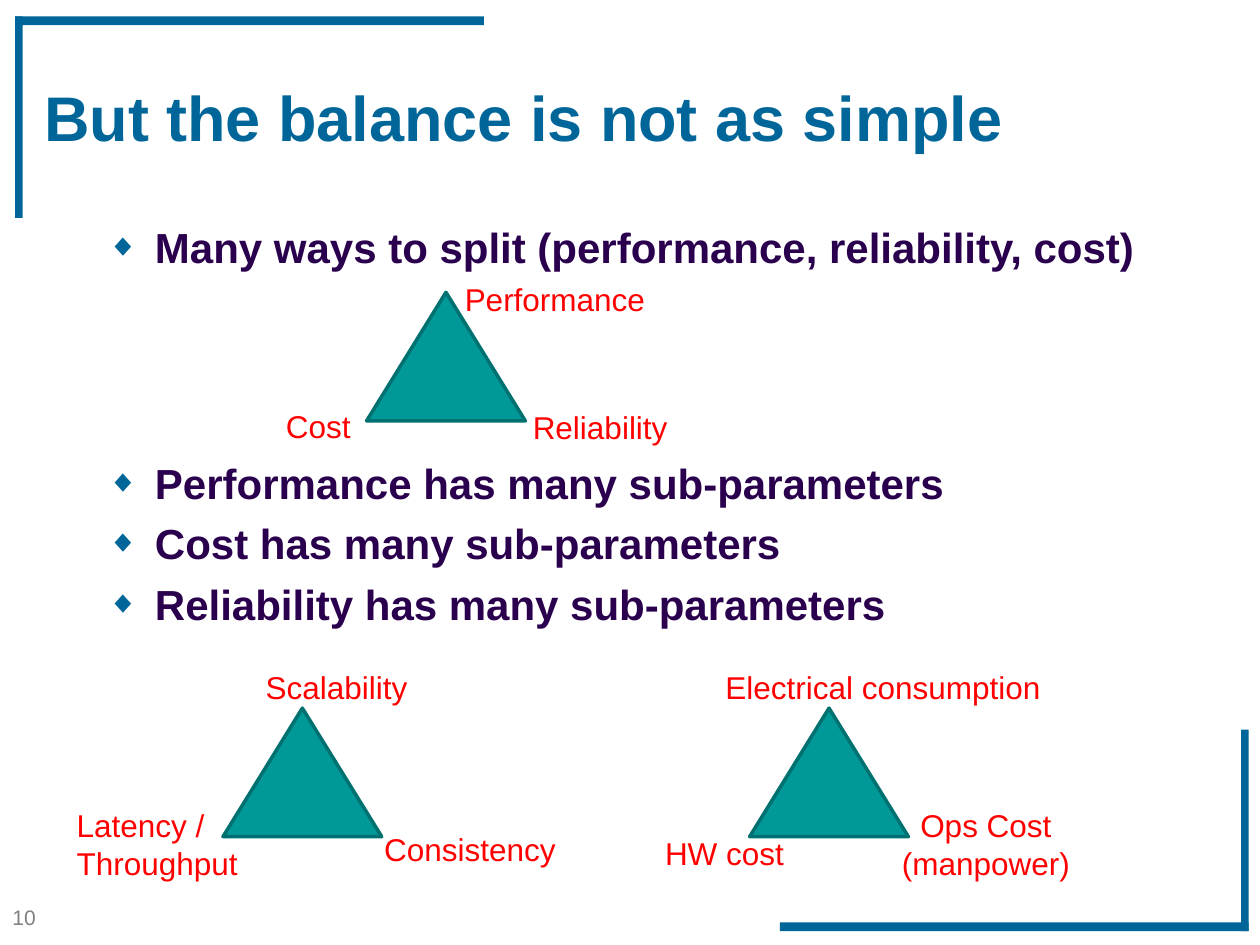
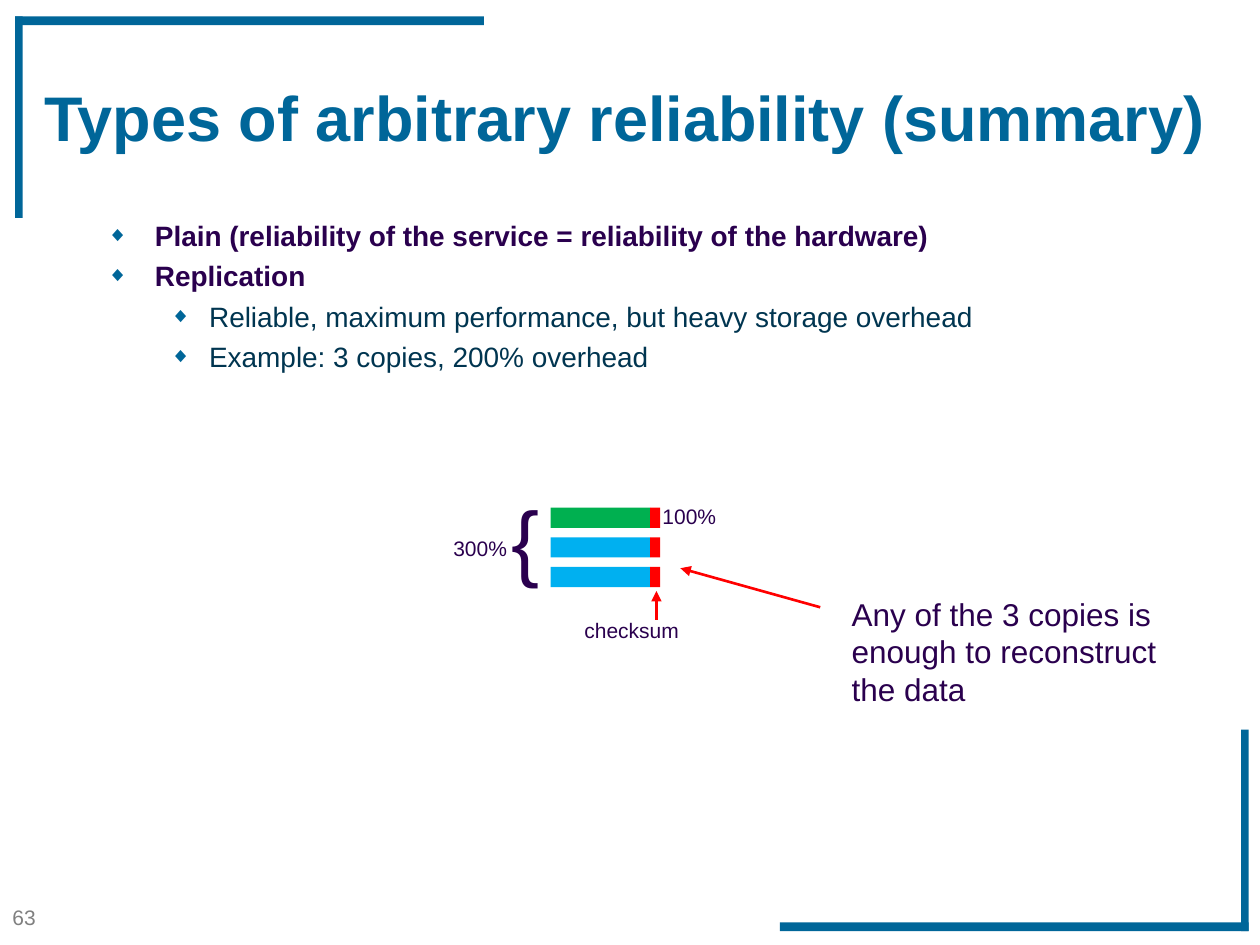
"""Build two slides on balancing reliability, performance and cost."""
from lxml import etree
from pptx import Presentation, util as u
from pptx.dml.color import RGBColor
from pptx.enum import shapes, text
from pptx.oxml.ns import qn

WIDE, HIGH = 10, 7.5
FONT = "Arial"
BLUE, DARK, DEEP, RED, GREY = "006699", "2A004E", "003550", "FF0000", "808080"
TEAL, EDGE, GREEN, SKY = "009998", "007170", "00B050", "00B0F0"

BARS = [(0.06, 1.6), (3.72, 0.07)]
BAR_X, BAR_Y = 0.12, 0.13
MIRROR = (10.03, 7.52)
INDENT = {0: (0.38, -0.38), 1: (0.81, -0.31)}
LEAD = 0.24

BALANCE = {
    "number": "10",
    "title": "But the balance is not as simple",
    "size": 24,
    "list": [
        (0, "Many ways to split (performance, reliability, cost)", 0),
        (0, "Performance has many sub-parameters", 106),
        (0, "Cost has many sub-parameters", None),
        (0, "Reliability has many sub-parameters", None),
    ],
}
TYPES = {
    "number": "63",
    "title": "Types of arbitrary reliability (summary)",
    "size": 16,
    "list": [
        (0, "Plain (reliability of the service = reliability of the hardware)", 0),
        (0, "Replication", None),
        (1, "Reliable, maximum performance, but heavy storage overhead", None),
        (1, "Example: 3 copies, 200% overhead", None),
    ],
}

TRI_W, TRI_H = 1.26, 1.02
TRIOS = [
    ((2.91, 2.32), [
        (["Performance"], 3.59, 2.17, 1.65),
        (["Cost"], 2.17, 3.18, 0.72),
        (["Reliability"], 4.13, 3.19, 1.28)]),
    ((1.77, 5.62), [
        (["Scalability"], 2.01, 5.25, 1.34),
        (["Latency /", "Throughput"], 0.51, 6.35, 1.49),
        (["Consistency"], 2.95, 6.54, 1.58)]),
    ((5.95, 5.62), [
        (["Electrical consumption"], 5.66, 5.25, 2.73),
        (["HW cost"], 5.18, 6.57, 1.16),
        (["Ops Cost", "(manpower)"], 7.05, 6.35, 1.55)]),
]

COPIES = [GREEN, SKY, SKY]
COPY_X, COPY_Y, COPY_W, COPY_H, PITCH = 4.37, 4.03, 0.79, 0.16, 0.235
SUM_W = 0.08
NOTES = [
    ("checksum", 4.54, 4.85, 1.02, 0.3, 12, True),
    ("100%", 5.16, 3.95, 0.63, 0.3, 12, True),
    ("300%", 3.5, 4.2, 0.63, 0.3, 12, False),
    ("{", 3.96, 3.82, 0.43, 0.91, 48, False),
    ("Any of the 3 copies is enough to reconstruct the data",
     6.66, 4.67, 2.91, 1.01, 18, True),
]
ARROWS = [((5.21, 4.92), (5.21, 4.69)), ((6.51, 4.82), (5.4, 4.51))]


def rgb(code):
    """Turn a hex string into a colour."""
    return RGBColor.from_string(code)


def place(item, *box):
    """Move and size a shape, in inches."""
    item.left, item.top, item.width, item.height = map(u.Inches, box)


def write(para, words, size, color, bold=False):
    """Add one formatted run."""
    run = para.add_run()
    run.text = words
    font = run.font
    font.name, font.size, font.bold = FONT, u.Pt(size), bold
    font.color.rgb = rgb(color)


def label(slide, lines, box, size, color, wrap=False, align=text.PP_ALIGN.LEFT):
    """Add a text box with one paragraph per line."""
    frame = slide.shapes.add_textbox(*map(u.Inches, box)).text_frame
    frame.word_wrap = wrap
    frame.auto_size = text.MSO_AUTO_SIZE.SHAPE_TO_FIT_TEXT
    for i, line in enumerate(lines):
        para = frame.add_paragraph() if i else frame.paragraphs[0]
        para.alignment = align
        write(para, line, size, color)


def block(slide, kind, box, fill, edge=None):
    """Add a filled preset shape."""
    item = slide.shapes.add_shape(kind, *map(u.Inches, box))
    item.shadow.inherit = False
    item.fill.solid()
    item.fill.fore_color.rgb = rgb(fill)
    if edge:
        item.line.color.rgb = rgb(edge)
        item.line.width = u.Pt(2)
    else:
        item.line.fill.background()
    return item


def arrow(slide, start, end):
    """Add a red arrow."""
    line = slide.shapes.add_connector(
        shapes.MSO_CONNECTOR.STRAIGHT, *map(u.Inches, start + end))
    line.line.color.rgb = rgb(RED)
    line.line.width = u.Pt(1.5)
    tip = etree.SubElement(line.line._get_or_add_ln(), qn("a:tailEnd"))
    tip.set("type", "triangle")
    etree.SubElement(line._element.spPr, qn("a:effectLst"))


def bullet(para, level):
    """Give a paragraph its indent and diamond."""
    para.level = level
    props = para._p.get_or_add_pPr()
    left, hang = INDENT[level]
    props.set("marL", str(u.Inches(left)))
    props.set("indent", str(u.Inches(hang)))
    tint = etree.SubElement(props, qn("a:buClr"))
    etree.SubElement(tint, qn("a:srgbClr")).set("val", BLUE)
    etree.SubElement(props, qn("a:buSzPct")).set("val", "75000")
    etree.SubElement(props, qn("a:buFont")).set("typeface", FONT)
    etree.SubElement(props, qn("a:buChar")).set("char", "◆")


def base(deck, data):
    """Add a slide with its frame, number, title and list."""
    slide = deck.slides.add_slide(deck.slide_layouts[1])
    title, body = slide.placeholders
    for w, h in BARS:
        far = (MIRROR[0] - BAR_X - w, MIRROR[1] - BAR_Y - h)
        for (x, y), turn in (((BAR_X, BAR_Y), 0), (far, 180)):
            bar = block(slide, shapes.MSO_SHAPE.ROUNDED_RECTANGLE, (x, y, w, h), BLUE)
            bar.adjustments[0] = 0.03
            bar.rotation = turn
    label(slide, [data["number"]], (0, 7.13, 0.41, 0.3), 12, GREY)

    place(title, 0.25, 0.22, 9.75, 1.4)
    frame = title.text_frame
    frame.auto_size = text.MSO_AUTO_SIZE.NONE
    frame.vertical_anchor = text.MSO_ANCHOR.MIDDLE
    para = frame.paragraphs[0]
    para.alignment = text.PP_ALIGN.LEFT
    write(para, data["title"], 36, BLUE, True)

    size = data["size"]
    place(body, 0.75, 1.64 + 0.2 * size / 72, 8.5, 4.8)
    frame = body.text_frame
    frame.auto_size = text.MSO_AUTO_SIZE.NONE
    for i, (level, words, gap) in enumerate(data["list"]):
        para = frame.add_paragraph() if i else frame.paragraphs[0]
        bullet(para, level)
        para.space_before = u.Pt(LEAD * size if gap is None else gap)
        write(para, words, size, DEEP if level else DARK, not level)
    return slide


def balance(deck):
    """Draw the three trade-off triangles."""
    slide = base(deck, BALANCE)
    for spot, names in TRIOS:
        block(slide, shapes.MSO_SHAPE.ISOSCELES_TRIANGLE,
              spot + (TRI_W, TRI_H), TEAL, EDGE)
        for lines, x, y, w in names:
            high = 0.1 + 0.3 * len(lines)
            mid = lines[0] == "Ops Cost"
            label(slide, lines, (x, y, w, high), 18, RED,
                  align=text.PP_ALIGN.CENTER if mid else text.PP_ALIGN.LEFT)


def types(deck):
    """Draw the replicated copies with their checksums."""
    slide = base(deck, TYPES)
    for i, color in enumerate(COPIES):
        y = COPY_Y + i * PITCH
        for x, w, fill in ((COPY_X, COPY_W, color), (COPY_X + COPY_W, SUM_W, RED)):
            block(slide, shapes.MSO_SHAPE.RECTANGLE, (x, y, w, COPY_H), fill)
    for words, x, y, w, h, size, wrap in NOTES:
        label(slide, [words], (x, y, w, h), size, DARK, wrap)
    for start, end in ARROWS:
        arrow(slide, start, end)


def main():
    """Build and save the deck."""
    deck = Presentation()
    deck.slide_width, deck.slide_height = u.Inches(WIDE), u.Inches(HIGH)
    balance(deck)
    types(deck)
    deck.save("out.pptx")


if __name__ == "__main__":
    main()
